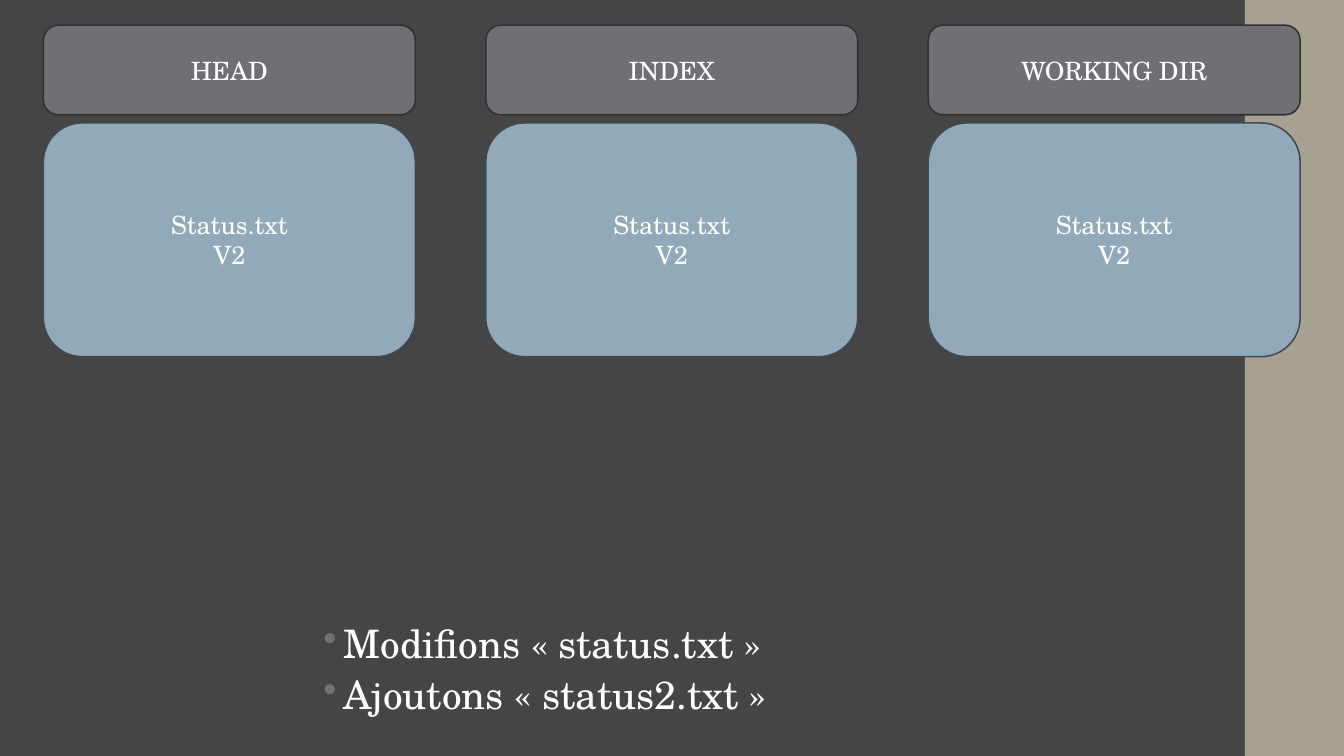
from dataclasses import dataclass

import lxml.etree
import pptx
import pptx.dml.color
import pptx.enum.shapes
import pptx.enum.text
import pptx.oxml.ns
import pptx.util

Pt = pptx.util.Pt
Shape = pptx.enum.shapes.MSO_SHAPE
FONT = "TeX Gyre Schola"
WHITE = "FFFFFF"
GREY = "6F6F74"
WIDE, HIGH = 960, 540
BAND_LEFT = 889.2
LEFT, STEP, CARD_WIDE = 31, 316, 265.7


@dataclass(frozen=True)
class Row:
    """One row of cards: a list of text lines for each column."""
    top: float
    high: float
    fill: str
    line: str
    cards: list[list[str]]


ROWS = [
    Row(87.8, 167, "92A9B9", "404A51", [["Status.txt", "V2"]] * 3),
    Row(18, 64, GREY, "313133", [["HEAD"], ["INDEX"], ["WORKING DIR"]]),
]
STEPS = ["Modifions « status.txt »", "Ajoutons « status2.txt »"]


def paint(fill, code: str) -> None:
    fill.solid()
    fill.fore_color.rgb = pptx.dml.color.RGBColor.from_string(code)


def add_run(para, text: str, size: float) -> None:
    run = para.add_run()
    run.text = text
    run.font.name = FONT
    run.font.size = Pt(size)
    paint(run.font.fill, WHITE)


def get_para(frame, index: int):
    return frame.paragraphs[0] if index == 0 else frame.add_paragraph()


def add_card(slide, row: Row, left: float, lines: list[str]) -> None:
    card = slide.shapes.add_shape(
        Shape.ROUNDED_RECTANGLE, Pt(left), Pt(row.top), Pt(CARD_WIDE), Pt(row.high))
    card.shadow.inherit = False
    paint(card.fill, row.fill)
    paint(card.line.fill, row.line)
    card.line.width = Pt(1.1)
    frame = card.text_frame
    frame.vertical_anchor = pptx.enum.text.MSO_ANCHOR.MIDDLE
    for index, line in enumerate(lines):
        para = get_para(frame, index)
        para.alignment = pptx.enum.text.PP_ALIGN.CENTER
        add_run(para, line, 18)


def add_dot(para) -> None:
    """Give a paragraph a hanging grey bullet."""
    tag = pptx.oxml.ns.qn
    props = para._p.get_or_add_pPr()
    props.set("marL", str(Pt(36)))
    props.set("indent", str(Pt(-14.4)))
    tint = lxml.etree.SubElement(props, tag("a:buClr"))
    lxml.etree.SubElement(tint, tag("a:srgbClr"), val=GREY)
    lxml.etree.SubElement(props, tag("a:buChar"), char="•")


def add_list(slide, items: list[str]) -> None:
    box = slide.shapes.add_textbox(Pt(202.3), Pt(442.8), Pt(555), Pt(79.2))
    frame = box.text_frame
    frame.word_wrap = True
    for index, item in enumerate(items):
        para = get_para(frame, index)
        add_dot(para)
        para.line_spacing = 0.9
        para.space_before = Pt(3 if index else 0)
        para.space_after = Pt(3)
        add_run(para, item, 28)


def main() -> None:
    deck = pptx.Presentation()
    deck.slide_width, deck.slide_height = Pt(WIDE), Pt(HIGH)
    slide = deck.slides.add_slide(deck.slide_layouts[6])

    # Background and side band
    paint(slide.background.fill, "454545")
    band = slide.shapes.add_shape(
        Shape.RECTANGLE, Pt(BAND_LEFT), 0, Pt(WIDE - BAND_LEFT), Pt(HIGH))
    band.shadow.inherit = False
    paint(band.fill, "A7A192")
    band.line.fill.background()

    # File cards and their headings
    for row in ROWS:
        for index, lines in enumerate(row.cards):
            add_card(slide, row, LEFT + index * STEP, lines)

    # Next steps
    add_list(slide, STEPS)
    deck.save("out.pptx")


if __name__ == "__main__":
    main()
